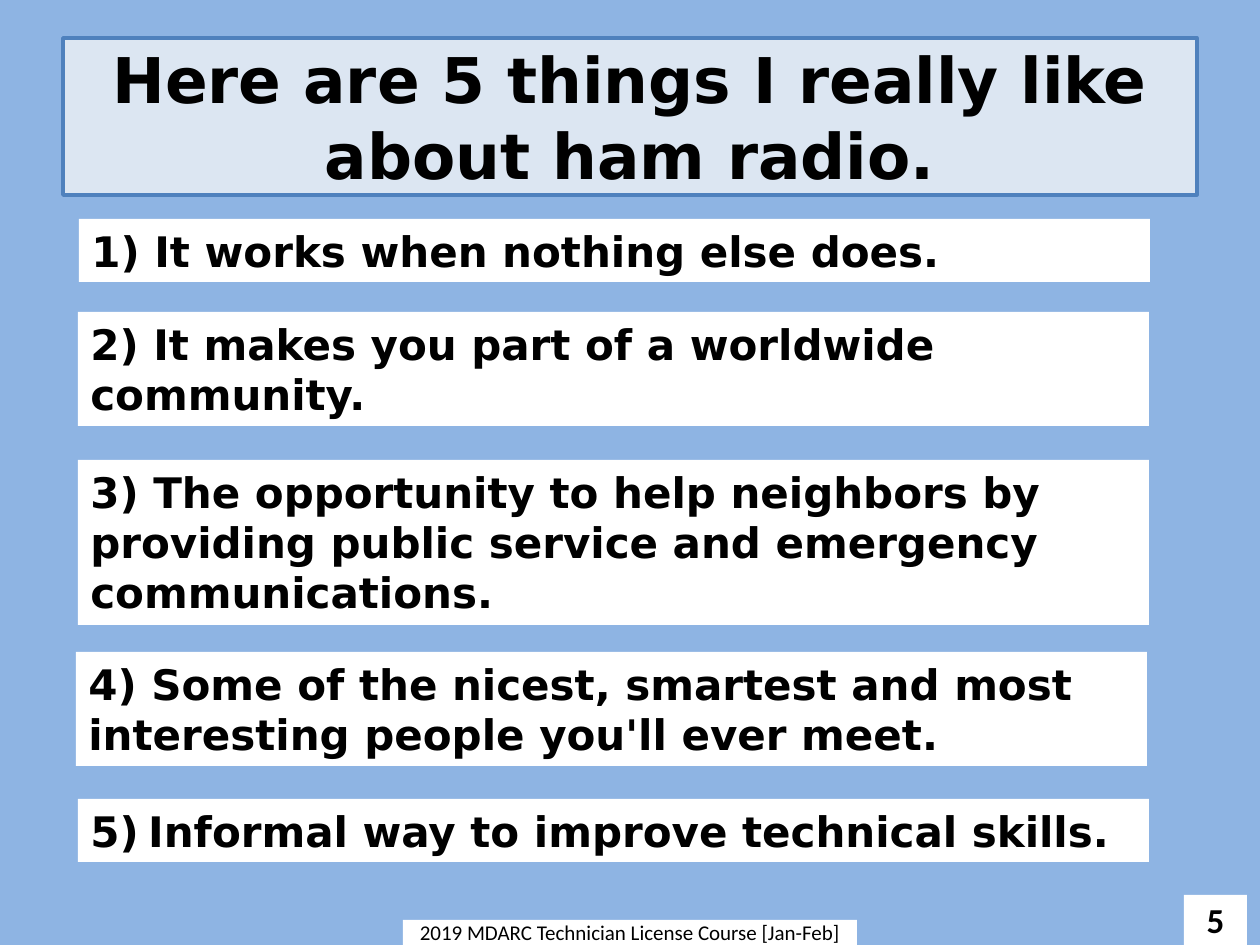
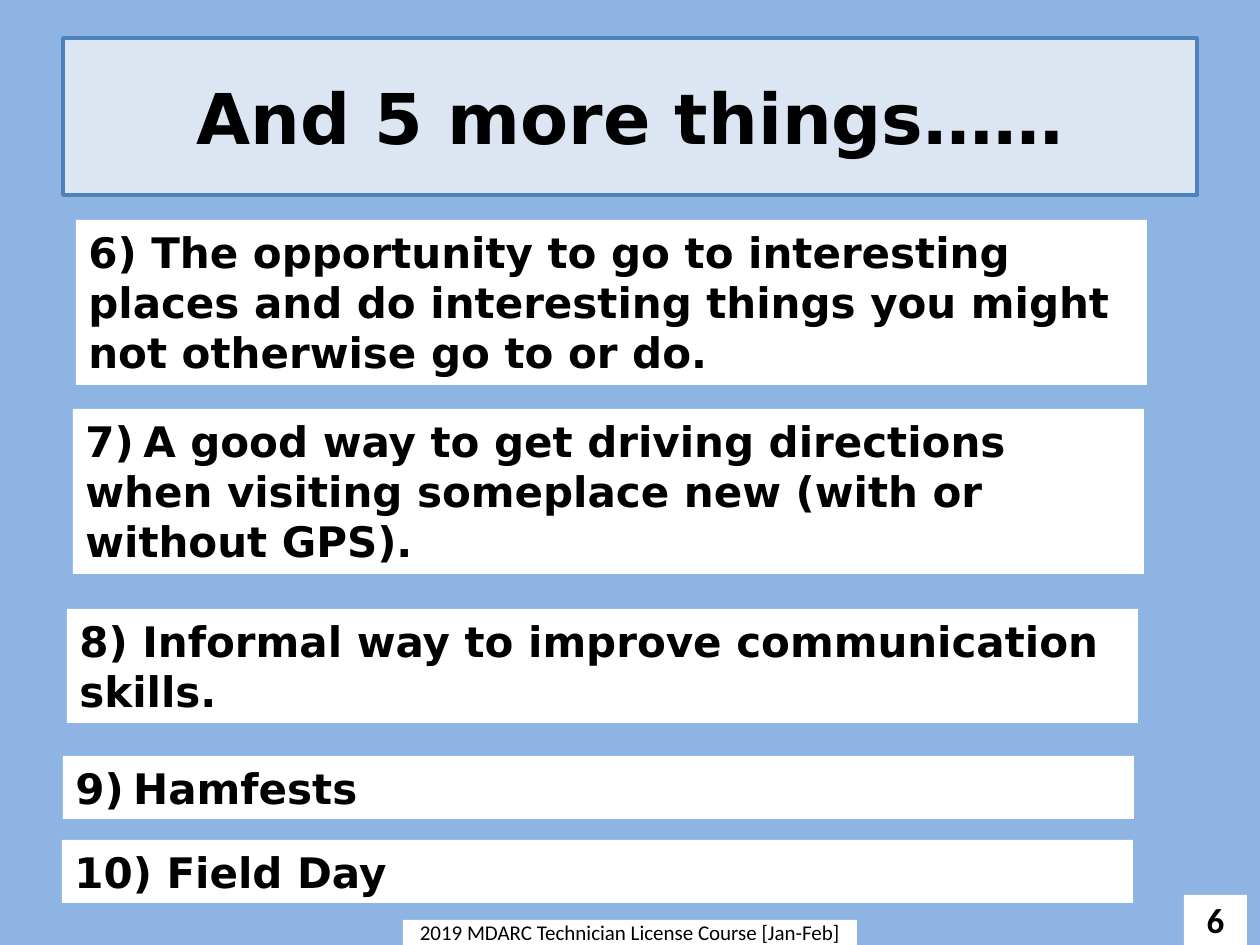
from dataclasses import dataclass

from pptx import Presentation
from pptx.dml.color import RGBColor
from pptx.enum.shapes import MSO_SHAPE
from pptx.enum.text import MSO_ANCHOR, MSO_AUTO_SIZE, PP_ALIGN
from pptx.util import Emu, Pt

PX_PER_INCH = 126
ITEM_WIDTH = 1071
ITEM_LINE, ITEM_PADDING = 51, 12
COURSE = "2019 MDARC Technician License Course [Jan-Feb]"


@dataclass(frozen=True)
class Theme:
    background: str = "8EB4E3"
    title_fill: str = "DCE6F2"
    title_line: str = "4F81BD"
    panel: str = "FFFFFF"
    ink: str = "000000"
    heading_font: str = "DejaVu Sans"
    small_font: str = "Calibri"
    item_size: int = 24
    number_size: int = 20
    course_size: int = 12


def px(length):
    return Emu(round(length * 914400 / PX_PER_INCH))


def rgb(code):
    return RGBColor.from_string(code)


class Deck:
    def __init__(self, theme):
        self.theme = theme
        self.presentation = Presentation()
        self.presentation.slide_width = px(1260)
        self.presentation.slide_height = px(945)
        self.slide = None

    def start_slide(self, number):
        layout = self.presentation.slide_layouts[6]
        self.slide = self.presentation.slides.add_slide(layout)
        fill = self.slide.background.fill
        fill.solid()
        fill.fore_color.rgb = rgb(self.theme.background)
        self.footer(number)

    def style(self, run, font, size, bold=True):
        run.font.name = font
        run.font.size = Pt(size)
        run.font.bold = bold
        run.font.color.rgb = rgb(self.theme.ink)

    def panel(self, box, text, font, size, bold=True, fill=None):
        """Draw a filled rectangle with one centred paragraph."""
        panel = self.slide.shapes.add_shape(MSO_SHAPE.RECTANGLE, *map(px, box))
        panel.shadow.inherit = False
        panel.fill.solid()
        panel.fill.fore_color.rgb = rgb(fill or self.theme.panel)
        panel.line.fill.background()
        frame = panel.text_frame
        frame.word_wrap = True
        frame.vertical_anchor = MSO_ANCHOR.MIDDLE
        frame.text = text
        paragraph = frame.paragraphs[0]
        paragraph.alignment = PP_ALIGN.CENTER
        for run in paragraph.runs:
            self.style(run, font, size, bold)
        return panel

    def title(self, text, size):
        banner = self.panel((63, 38, 1134, 157), text, self.theme.heading_font,
                            size, fill=self.theme.title_fill)
        banner.line.color.rgb = rgb(self.theme.title_line)
        banner.line.width = Pt(2)

    def footer(self, number):
        theme = self.theme
        self.panel((403, 920, 454, 25), COURSE, theme.small_font,
                   theme.course_size, bold=False)
        self.panel((1184, 895, 63, 50), str(number), theme.small_font,
                   theme.number_size)

    def item(self, number, text, left, top, lines, narrow_gap=False):
        """Add a numbered reason; narrow_gap sets its first space in the small font."""
        theme = self.theme
        box = (left, top, ITEM_WIDTH, ITEM_PADDING + ITEM_LINE * lines)
        reason = self.panel(box, f"{number})", theme.heading_font, theme.item_size)
        frame = reason.text_frame
        frame.vertical_anchor = MSO_ANCHOR.TOP
        frame.auto_size = MSO_AUTO_SIZE.SHAPE_TO_FIT_TEXT
        paragraph = frame.paragraphs[0]
        paragraph.alignment = PP_ALIGN.LEFT
        gap_font = theme.small_font if narrow_gap else theme.heading_font
        for part, font in ((" ", gap_font), (text, theme.heading_font)):
            run = paragraph.add_run()
            run.text = part
            self.style(run, font, theme.item_size)


# Each reason: text, left, top, lines, narrow gap after the number
SLIDES = [
    (5, "Here are 5 things I really like about ham radio.", 36, 1, [
        ("It works when nothing else does.", 79, 219, 1, False),
        ("It makes you part of a worldwide community.", 78, 312, 2, False),
        ("The opportunity to help neighbors by providing public service "
         "and emergency communications.", 78, 460, 3, False),
        ("Some of the nicest, smartest and most interesting people "
         "you'll ever meet.", 76, 652, 2, False),
        ("Informal way to improve technical skills.", 78, 799, 1, True),
    ]),
    (6, "And 5 more things……", 40, 6, [
        ("The opportunity to go to interesting places and do interesting "
         "things you might not otherwise go to or do.", 76, 220, 3, False),
        ("A good way to get driving directions when visiting someplace new "
         "(with or without GPS).", 73, 409, 3, True),
        ("Informal way to improve communication skills.", 67, 609, 2, False),
        ("Hamfests", 63, 756, 1, True),
        ("Field Day", 62, 840, 1, False),
    ]),
]


def main():
    deck = Deck(Theme())
    for page, title, title_size, first_number, reasons in SLIDES:
        deck.start_slide(page)
        deck.title(title, title_size)
        for number, reason in enumerate(reasons, first_number):
            deck.item(number, *reason)
    deck.presentation.save("out.pptx")


if __name__ == "__main__":
    main()
